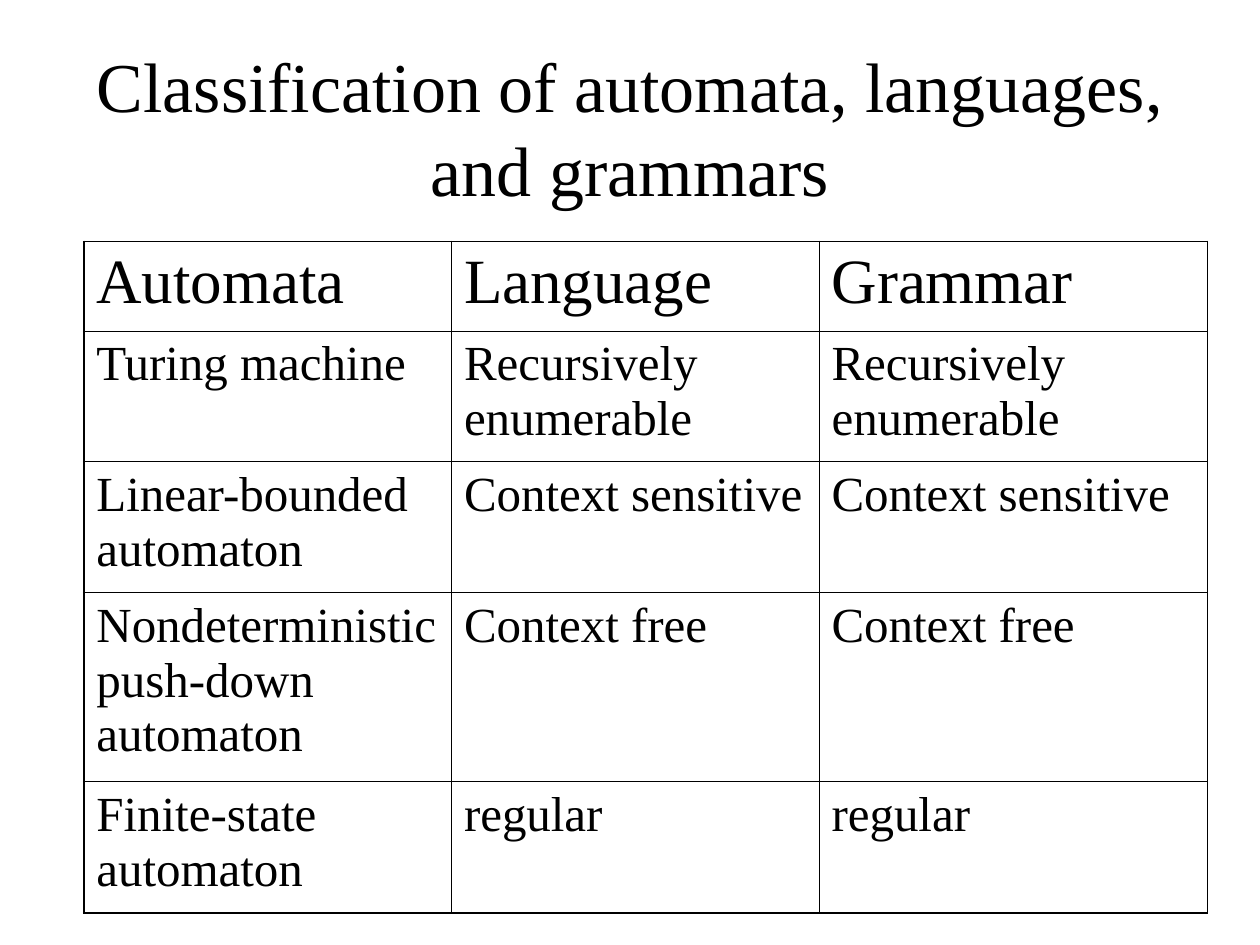
"""Build a slide with a table that classifies automata, languages and grammars."""
from dataclasses import dataclass

from lxml.etree import SubElement
from pptx import Presentation
from pptx.dml.color import RGBColor
from pptx.enum.text import MSO_ANCHOR as Anchor, MSO_AUTO_SIZE as AutoSize, PP_ALIGN as Align
from pptx.oxml.ns import qn
from pptx.util import Cm, Pt


@dataclass(frozen=True)
class Theme:
    font: str = "Times New Roman"
    ink: str = "000000"
    paper: str = "FFFFFF"
    title: float = 40
    header: float = 36
    body: float = 28
    frame: float = 1.08
    rule: float = 0.45


theme = Theme()


def add_span(para, text, size):
    span = para.add_run()
    span.text = text
    span.font.name = theme.font
    span.font.size = Pt(size)
    span.font.bold = False
    span.font.color.rgb = RGBColor.from_string(theme.ink)


def add_border(cell, side, width):
    line = SubElement(cell._tc.get_or_add_tcPr(), qn(f"a:ln{side}"), w=str(Pt(width)))
    fill = SubElement(line, qn("a:solidFill"))
    SubElement(fill, qn("a:srgbClr"), val=theme.ink)


deck = Presentation()
deck.slide_width, deck.slide_height = Cm(25.4), Cm(19.05)
page = deck.slides.add_slide(deck.slide_layouts[5])
page.background.fill.solid()
page.background.fill.fore_color.rgb = RGBColor.from_string(theme.paper)

title = page.shapes.title
title.left, title.top, title.width, title.height = Cm(1.06), Cm(0.64), Cm(23.28), Cm(3.81)
frame = title.text_frame
frame.word_wrap = True
frame.auto_size = AutoSize.NONE
frame.vertical_anchor = Anchor.MIDDLE
para = frame.paragraphs[0]
para.alignment = Align.CENTER
add_span(para, "Classification of automata, languages, and grammars", theme.title)

rows = [
    ("Automata", "Language", "Grammar"),
    ("Turing machine", "Recursively enumerable", "Recursively enumerable"),
    ("Linear-bounded automaton", "Context sensitive", "Context sensitive"),
    ("Nondeterministic push-down automaton", "Context free", "Context free"),
    ("Finite-state automaton", "regular", "regular"),
]
widths = [7.41, 7.41, 7.83]
heights = [1.8, 2.64, 2.64, 3.81, 2.64]

table = page.shapes.add_table(
    len(rows), len(widths), Cm(1.69), Cm(4.87), Cm(sum(widths)), Cm(sum(heights))
).table
table.first_row = table.horz_banding = False
for column, width in zip(table.columns, widths):
    column.width = Cm(width)

last_row, last_column = len(rows) - 1, len(widths) - 1
for i, (texts, height) in enumerate(zip(rows, heights)):
    table.rows[i].height = Cm(height)
    size = theme.body if i else theme.header
    for j, text in enumerate(texts):
        cell = table.cell(i, j)
        para = cell.text_frame.paragraphs[0]
        para.alignment = Align.LEFT
        para.space_before = Pt(size / 4)
        add_span(para, text, size)
        outer = {"L": j == 0, "R": j == last_column, "T": i == 0, "B": i == last_row}
        for side, is_outer in outer.items():
            add_border(cell, side, theme.frame if is_outer else theme.rule)
        cell.fill.background()

deck.save("out.pptx")
